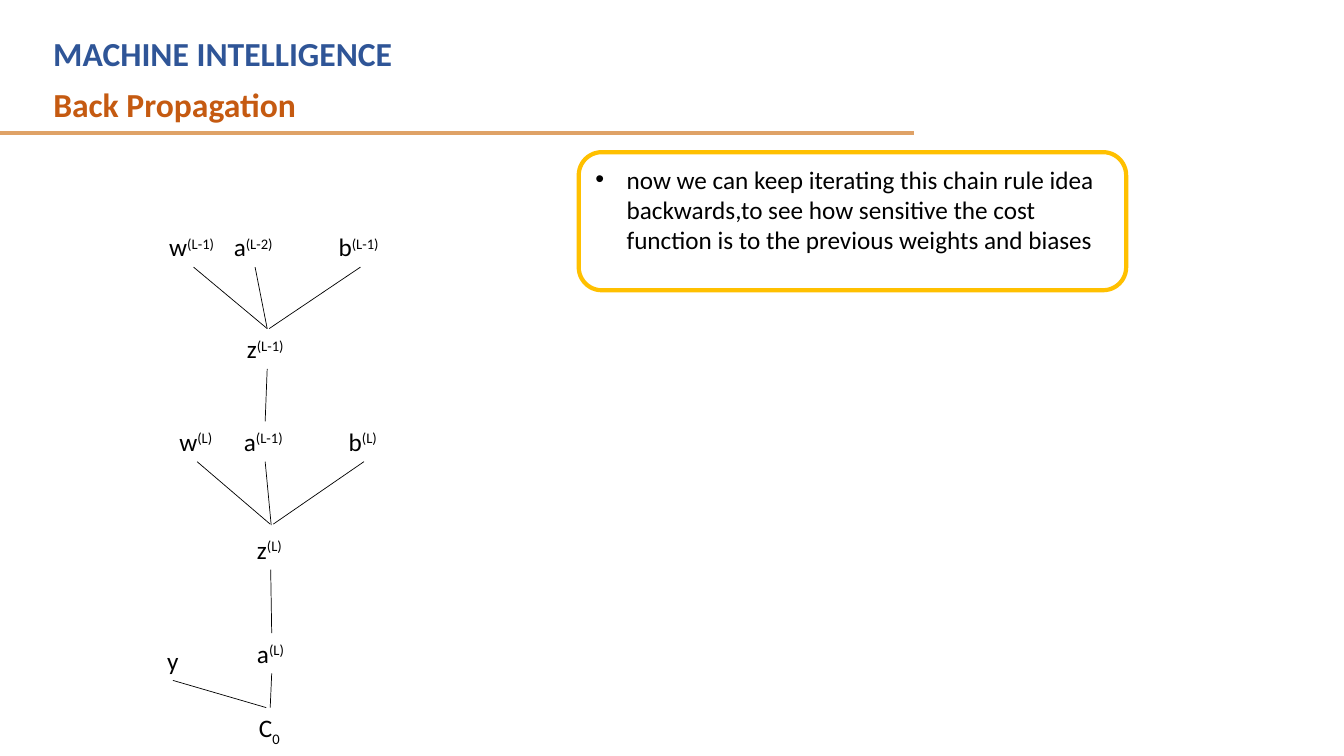
from dataclasses import dataclass
from typing import Optional

from lxml import etree
from pptx import Presentation
from pptx.dml import color
from pptx.enum import shapes, text
from pptx.oxml import ns
from pptx.util import Inches, Pt

COLORS = {"blue": "2F5597", "rust": "C55A11", "tan": "DFA267",
          "gold": "FFC000", "black": "000000"}
FONT = "Calibri"
TOP, BOTTOM = 0, 2


@dataclass
class Title:
    words: str
    top: float
    width: float
    hue: str


@dataclass
class Node:
    key: str
    base: str
    script: str
    left: float
    top: float
    width: float
    shift: int = 30


@dataclass
class Edge:
    start: str
    end: Optional[str] = None
    point: tuple[float, float] = (0, 0)


TITLES = [
    Title("MACHINE INTELLIGENCE", 0.28, 8.2, "blue"),
    Title("Back Propagation", 0.78, 8.75, "rust"),
]
NODES = [
    Node("w1", "w", "(L-1)", 1.58, 2.25, 0.68),
    Node("a2", "a", "(L-2)", 2.22, 2.25, 0.62),
    Node("b1", "b", "(L-1)", 3.26, 2.25, 0.63),
    Node("z1", "z", "(L-1)", 2.35, 3.26, 0.6),
    Node("w", "w", "(L)", 1.68, 4.18, 0.55),
    Node("a1", "a", "(L-1)", 2.32, 4.18, 0.62),
    Node("b", "b", "(L)", 3.36, 4.18, 0.5),
    Node("z", "z", "(L)", 2.45, 5.25, 0.47),
    Node("a", "a", "(L)", 2.45, 6.28, 0.49),
    Node("y", "y", "", 1.56, 6.35, 0.31),
    Node("cost", "C", "0", 2.47, 7.02, 0.42, -25),
]
# An edge leaves the bottom of a node; it ends on a node or at a free point
EDGES = [
    Edge("w1", "z1"), Edge("a2", "z1"), Edge("b1", point=(2.67, 3.26)),
    Edge("z1", "a1"),
    Edge("w", point=(2.68, 5.2)), Edge("a1", point=(2.69, 5.21)),
    Edge("b", point=(2.71, 5.2)),
    Edge("z", "a"), Edge("a", "cost"), Edge("y", point=(2.64, 7.02)),
]


def rgb(hue: str) -> color.RGBColor:
    return color.RGBColor.from_string(COLORS[hue])


def style(para, size: float, hue: str, bold: bool = False) -> None:
    font = para.font
    font.name, font.size, font.bold = FONT, Pt(size), bold
    font.color.rgb = rgb(hue)


def add_box(slide, left: float, top: float, width: float, height: float,
            wrap: bool):
    box = slide.shapes.add_textbox(Inches(left), Inches(top),
                                   Inches(width), Inches(height))
    box.text_frame.word_wrap = wrap
    box.text_frame.auto_size = text.MSO_AUTO_SIZE.SHAPE_TO_FIT_TEXT
    return box


def add_title(slide, title: Title) -> None:
    box = add_box(slide, 0.43, title.top, title.width, 0.5, True)
    para = box.text_frame.paragraphs[0]
    para.text = title.words
    style(para, 24, title.hue, True)


def add_node(slide, node: Node):
    box = add_box(slide, node.left, node.top, node.width, 0.4, False)
    para = box.text_frame.paragraphs[0]
    para.add_run().text = node.base
    if node.script:
        run = para.add_run()
        run.text = node.script
        run.font._element.set("baseline", str(node.shift * 1000))
    style(para, 18, "black")
    return box


def add_line(slide, start: tuple[float, float], end: tuple[float, float],
             hue: str, weight: float):
    line = slide.shapes.add_connector(
        shapes.MSO_CONNECTOR.STRAIGHT, *map(Inches, start + end))
    line.line.color.rgb = rgb(hue)
    line.line.width = Pt(weight)
    etree.SubElement(line._element.spPr, ns.qn("a:effectLst"))
    return line


def add_edge(slide, edge: Edge, boxes: dict) -> None:
    line = add_line(slide, (0, 0), edge.point, "black", 0.5)
    line.begin_connect(boxes[edge.start], BOTTOM)
    if edge.end:
        line.end_connect(boxes[edge.end], TOP)


def add_note(slide, words: str) -> None:
    note = slide.shapes.add_shape(
        shapes.MSO_SHAPE.ROUNDED_RECTANGLE,
        Inches(5.74), Inches(1.51), Inches(5.43), Inches(1.37))
    note.shadow.inherit = False
    note.fill.background()
    note.line.color.rgb = rgb("gold")
    note.line.width = Pt(3)
    frame = note.text_frame
    frame.word_wrap = True
    frame.vertical_anchor = text.MSO_ANCHOR.TOP
    para = frame.paragraphs[0]
    para.text = words
    para.alignment = text.PP_ALIGN.LEFT
    props = para._p.get_or_add_pPr()
    props.set("marL", str(Inches(0.31)))
    props.set("indent", str(Inches(-0.31)))
    etree.SubElement(props, ns.qn("a:buFont"), typeface="Arial")
    etree.SubElement(props, ns.qn("a:buChar"), char="•")
    style(para, 18, "black")


def main() -> None:
    deck = Presentation()
    deck.slide_width, deck.slide_height = Inches(13.33), Inches(7.5)
    slide = deck.slides.add_slide(deck.slide_layouts[6])

    # Heading and rule
    add_line(slide, (-0.01, 1.32), (9.07, 1.32), "tan", 3)
    for title in TITLES:
        add_title(slide, title)

    # Chain rule note
    add_note(slide, "now we can keep iterating this chain rule idea "
                    "backwards,to see how sensitive the cost function is "
                    "to the previous weights and biases")

    # Dependency tree
    boxes = {node.key: add_node(slide, node) for node in NODES}
    for edge in EDGES:
        add_edge(slide, edge, boxes)

    deck.save("out.pptx")


if __name__ == "__main__":
    main()
